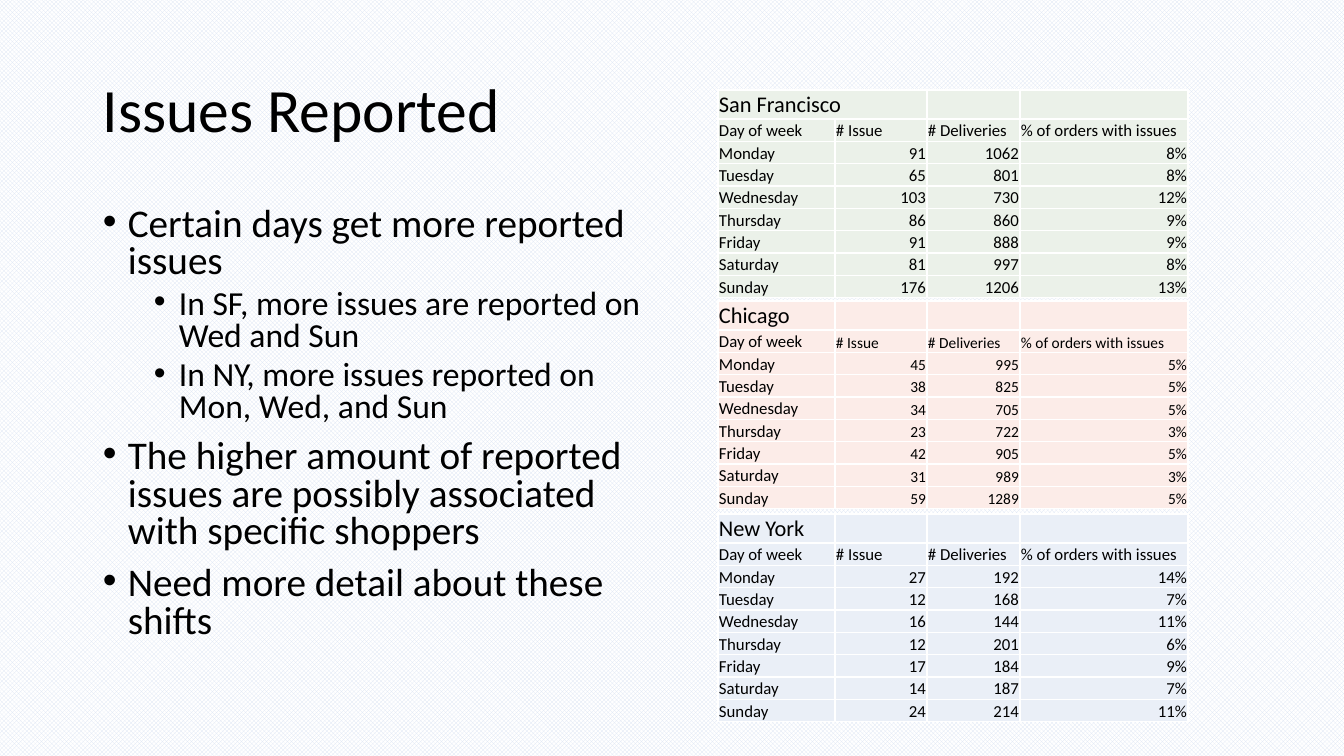
from dataclasses import dataclass
from lxml.etree import SubElement
from pptx import Presentation
from pptx.dml.color import RGBColor
from pptx.enum.dml import MSO_PATTERN
from pptx.enum.text import MSO_ANCHOR, PP_ALIGN
from pptx.oxml.ns import qn
from pptx.util import Pt


@dataclass(frozen=True)
class Theme:
    face: str = "Calibri"
    ink: str = "000000"
    line: str = "FFFFFF"
    weave: str = "DAE3F3"
    green: str = "EBF1E9"
    rose: str = "FCECE8"
    blue: str = "EAEFF7"
    title: int = 44
    points: tuple = (28, 24)
    city: int = 16
    cell: int = 12
    small: int = 11


THEME = Theme()

DAYS = ["Monday", "Tuesday", "Wednesday", "Thursday",
        "Friday", "Saturday", "Sunday"]
HEADS = ["Day of week", "# Issue", "# Deliveries", "% of orders with issues"]
COLS = [117, 92, 93, 168]
HEAD, REST = 29, 179  # city row, then all the rows below it

POINTS = [
    (0, "Certain days get more reported issues"),
    (1, "In SF, more issues are reported on Wed and Sun"),
    (1, "In NY, more issues reported on Mon, Wed, and Sun"),
    (0, "The higher amount of reported issues are possibly associated "
        "with specific shoppers"),
    (0, "Need more detail about these shifts"),
]

# City, top, fill, size of figures, columns the name spans, figures
CITIES = [
    ("San Francisco", 90, THEME.green, THEME.cell, 2,
     [(91, 1062, 8), (65, 801, 8), (103, 730, 12), (86, 860, 9),
      (91, 888, 9), (81, 997, 8), (176, 1206, 13)]),
    ("Chicago", 301, THEME.rose, THEME.small, 1,
     [(45, 995, 5), (38, 825, 5), (34, 705, 5), (23, 722, 3),
      (42, 905, 5), (31, 989, 3), (59, 1289, 5)]),
    ("New York", 514, THEME.blue, THEME.cell, 1,
     [(27, 192, 14), (12, 168, 7), (16, 144, 11), (12, 201, 6),
      (17, 184, 9), (14, 187, 7), (24, 214, 11)]),
]


def px(n):
    return round(n * 12192000 / 1344)


def tint(hue):
    return RGBColor.from_string(hue)


def style(para, size):
    para.font.name = THEME.face
    para.font.size = Pt(size)
    para.font.color.rgb = tint(THEME.ink)


def add_box(slide, left, top, width, height, anchor):
    box = slide.shapes.add_textbox(px(left), px(top), px(width), px(height))
    frame = box.text_frame
    frame.word_wrap = True
    frame.vertical_anchor = anchor
    return frame


def add_title(slide, text):
    frame = add_box(slide, 93, 40, 1159, 146, MSO_ANCHOR.MIDDLE)
    para = frame.paragraphs[0]
    para.text = text
    para.line_spacing = 0.9
    style(para, THEME.title)


def add_points(slide, points):
    frame = add_box(slide, 93, 202, 581, 480, MSO_ANCHOR.TOP)
    for i, (level, text) in enumerate(points):
        para = frame.add_paragraph() if i else frame.paragraphs[0]
        para.text = text
        para.level = level
        para.line_spacing = 0.8
        para.space_before = Pt((10, 5)[level] if i else 0)
        # Hanging bullet
        props = para._p.get_or_add_pPr()
        props.set("marL", str(px((25, 76)[level])))
        props.set("indent", str(px(-25)))
        SubElement(props, qn("a:buFont"), typeface="Arial")
        SubElement(props, qn("a:buChar"), char="•")
        style(para, THEME.points[level])


def add_edges(cell):
    props = cell._tc.get_or_add_tcPr()
    for side in ("lnL", "lnR", "lnT", "lnB"):
        line = SubElement(props, qn("a:" + side), w=str(Pt(1)))
        fill = SubElement(line, qn("a:solidFill"))
        SubElement(fill, qn("a:srgbClr"), val=THEME.line)


def fill_cell(cell, text, size, align, hue):
    cell.margin_left = cell.margin_right = cell.margin_top = px(1)
    cell.margin_bottom = 0
    cell.vertical_anchor = MSO_ANCHOR.BOTTOM
    add_edges(cell)
    cell.fill.solid()
    cell.fill.fore_color.rgb = tint(hue)
    para = cell.text_frame.paragraphs[0]
    para.alignment = align
    if text:
        para.text = text
        style(para, size)
    else:  # keeps an empty cell from stretching its row
        SubElement(para._p, qn("a:endParaRPr"), sz=str(size * 100))


def add_city(slide, name, top, hue, size, span, stats):
    rows = [[name, "", "", ""], HEADS]
    rows += [[day, str(issues), str(sent), f"{rate}%"]
             for day, (issues, sent, rate) in zip(DAYS, stats)]
    table = slide.shapes.add_table(len(rows), len(COLS), px(718), px(top),
                                   px(sum(COLS)), px(HEAD + REST)).table
    table.first_row = table.horz_banding = False
    for col, width in zip(table.columns, COLS):
        col.width = px(width)
    for r, row in enumerate(rows):
        table.rows[r].height = px(REST) // (len(rows) - 1) if r else px(HEAD)
        for c, text in enumerate(row):
            pts = size if c else THEME.cell if r else THEME.city
            align = PP_ALIGN.RIGHT if r > 1 and c else PP_ALIGN.LEFT
            fill_cell(table.cell(r, c), text, pts, align, hue)
    if span > 1:
        table.cell(0, 0).merge(table.cell(0, span - 1))


def main():
    deck = Presentation()
    deck.slide_width, deck.slide_height = px(1344), px(756)
    slide = deck.slides.add_slide(deck.slide_layouts[6])

    # Woven background
    back = slide.background.fill
    back.patterned()
    back.pattern = MSO_PATTERN.TRELLIS
    back.fore_color.rgb = tint(THEME.weave)
    back.back_color.rgb = tint("FFFFFF")

    # Left: title and findings
    add_title(slide, "Issues Reported")
    add_points(slide, POINTS)

    # Right: one table per city
    for city in CITIES:
        add_city(slide, *city)

    deck.save("out.pptx")


if __name__ == "__main__":
    main()
